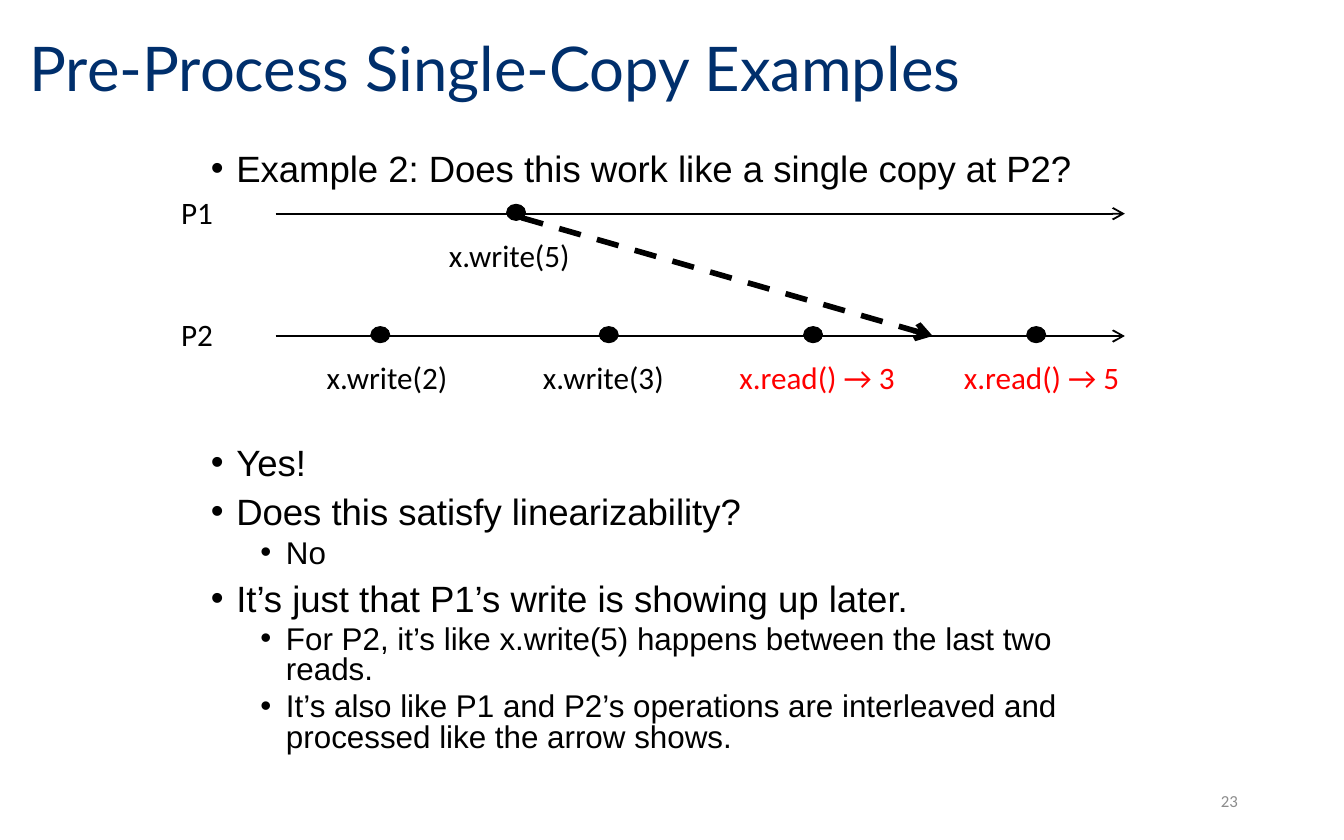
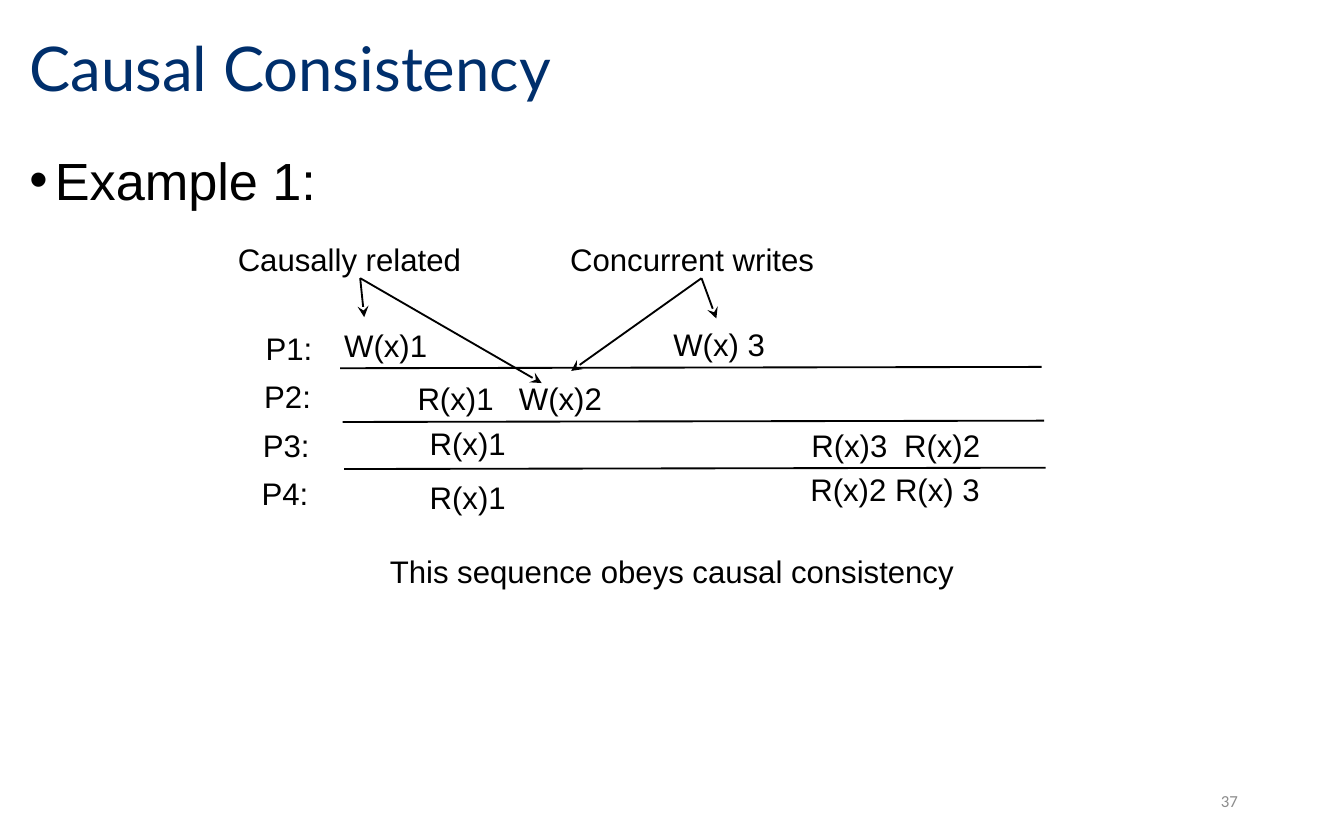
from lxml import etree
from pptx import Presentation
from pptx.dml.color import RGBColor
from pptx.enum.dml import MSO_LINE
from pptx.enum.shapes import MSO_CONNECTOR, MSO_SHAPE
from pptx.enum.text import MSO_ANCHOR, MSO_AUTO_SIZE, PP_ALIGN
from pptx.oxml.ns import qn
from pptx.util import Inches, Pt

WIDTH, HEIGHT = Inches(10), Inches(6.25)
COLUMNS, ROWS = 10, 6.25
TITLE_ONLY = 5
LEFT, CENTER, RIGHT = PP_ALIGN.LEFT, PP_ALIGN.CENTER, PP_ALIGN.RIGHT
TOP, MIDDLE = MSO_ANCHOR.TOP, MSO_ANCHOR.MIDDLE
NO_FIT, GROW = MSO_AUTO_SIZE.NONE, MSO_AUTO_SIZE.SHAPE_TO_FIT_TEXT
STRAIGHT, OVAL, DASH = MSO_CONNECTOR.STRAIGHT, MSO_SHAPE.OVAL, MSO_LINE.DASH

BLACK = RGBColor(0, 0, 0)
NAVY = RGBColor(0x00, 0x2F, 0x6C)
RED = RGBColor(0xFF, 0, 0)
GRAY = RGBColor(0x8C, 0x8C, 0x8C)
TITLE_FONT, BODY_FONT, LABEL_FONT = "Lato", "Arial", "Calibri"
LABEL_SIZE, LABEL_HEIGHT = 16.7, 0.38
DOT_WIDTH, DOT_HEIGHT = 0.14, 0.12


def column(count):
    return int(WIDTH * count / COLUMNS)


def row(count):
    return int(HEIGHT * count / ROWS)


def area(left, top, width, height):
    return column(left), row(top), column(width), row(height)


def write(para, text, font, size, color=BLACK):
    span = para.add_run()
    span.text = text
    span.font.name = font
    span.font.size = Pt(size)
    span.font.color.rgb = color


def add_box(page, place, anchor=TOP, fit=NO_FIT, wrap=True):
    box = page.shapes.add_textbox(*area(*place))
    frame = box.text_frame
    frame.word_wrap = wrap
    frame.auto_size = fit
    frame.vertical_anchor = anchor
    return frame


def add_page(deck, heading, number):
    page = deck.slides.add_slide(deck.slide_layouts[TITLE_ONLY])
    title = page.shapes.title
    title.left, title.top, title.width, title.height = area(0.12, 0.1, 8.52, 0.86)
    frame = title.text_frame
    frame.auto_size = NO_FIT
    frame.vertical_anchor = MIDDLE
    para = frame.paragraphs[0]
    para.alignment = LEFT
    para.line_spacing = 0.9
    write(para, heading, TITLE_FONT, 33, NAVY)

    para = add_box(page, (7.06, 5.79, 2.25, 0.33), MIDDLE).paragraphs[0]
    para.alignment = RIGHT
    write(para, str(number), LABEL_FONT, 9, GRAY)
    return page


def add_bullets(page, place, items, sizes, spacing):
    frame = add_box(page, place)
    for index, (level, text) in enumerate(items):
        para = frame.add_paragraph() if index else frame.paragraphs[0]
        para.level = level
        para.line_spacing = spacing
        para.space_before = Pt((7.5, 3.8)[level] if index else 0)
        properties = para._p.get_or_add_pPr()
        properties.set("marL", str(Inches((0.19, 0.56)[level])))
        properties.set("indent", str(-Inches(0.19)))
        etree.SubElement(properties, qn("a:buFont")).set("typeface", BODY_FONT)
        etree.SubElement(properties, qn("a:buChar")).set("char", "•")
        write(para, text, BODY_FONT, sizes[level])


def add_label(page, text, middle, top, width, font=BODY_FONT, color=BLACK,
              align=CENTER, wrap=False):
    place = (middle - width / 2, top, width, LABEL_HEIGHT)
    para = add_box(page, place, fit=GROW, wrap=wrap).paragraphs[0]
    para.alignment = align
    write(para, text, font, LABEL_SIZE, color)


def add_line(page, start, end, head=None, weight=1, dash=None):
    line = page.shapes.add_connector(
        STRAIGHT, column(start[0]), row(start[1]), column(end[0]), row(end[1]))
    line.line.color.rgb = BLACK
    line.line.width = Pt(weight)
    if dash:
        line.line.dash_style = dash
    properties = line.element.spPr
    if head:
        etree.SubElement(properties.find(qn("a:ln")), qn("a:tailEnd")).set("type", head)
    etree.SubElement(properties, qn("a:effectLst"))


def add_dot(page, middle, level):
    dot = page.shapes.add_shape(OVAL, *area(
        middle - DOT_WIDTH / 2, level - 0.07, DOT_WIDTH, DOT_HEIGHT))
    dot.shadow.inherit = False
    dot.fill.solid()
    dot.fill.fore_color.rgb = BLACK
    dot.line.color.rgb = BLACK
    dot.line.width = Pt(0.5)


def add_timeline(page, process, level, events):
    add_line(page, (2.05, level), (8.37, level), "arrow")
    add_label(page, process, 1.65, level - 0.2, 0.8, LABEL_FONT, align=LEFT, wrap=True)
    for operation, dot_middle, label_middle, color in events:
        add_dot(page, dot_middle, level)
        add_label(page, operation, label_middle, level + 0.12, 2.86,
                  LABEL_FONT, color, wrap=True)


def build_single_copy(deck):
    page = add_page(deck, "Pre-Process Single-Copy Examples", 23)
    sizes = (19.6, 16.8)
    add_bullets(page, (1.47, 1.1, 7, 0.4), [
        (0, "Example 2: Does this work like a single copy at P2?"),
    ], sizes, 0.8)
    add_bullets(page, (1.47, 3.29, 7, 2.7), [
        (0, "Yes!"),
        (0, "Does this satisfy linearizability?"),
        (1, "No"),
        (0, "It’s just that P1’s write is showing up later."),
        (1, "For P2, it’s like x.write(5) happens between the last two reads."),
        (1, "It’s also like P1 and P2’s operations are interleaved and "
            "processed like the arrow shows."),
    ], sizes, 0.8)
    add_timeline(page, "P1", 1.59, [("x.write(5)", 3.84, 3.79, BLACK)])
    add_timeline(page, "P2", 2.5, [
        ("x.write(2)", 2.83, 2.88, BLACK),
        ("x.write(3)", 4.53, 4.49, BLACK),
        ("x.read() → 3", 6.05, 6.08, RED),
        ("x.read() → 5", 7.71, 7.75, RED),
    ])
    add_line(page, (3.88, 1.62), (6.94, 2.5), "arrow", 3, DASH)


def build_causal(deck):
    page = add_page(deck, "Causal Consistency", 37)
    add_bullets(page, (0.12, 1.05, 9.77, 4.58), [(0, "Example 1:")], (28,), 1)

    for left, level in ((2.53, 2.74), (2.55, 3.14), (2.56, 3.49)):
        add_line(page, (left, level), (left + 5.22, level - 0.01))
    for index in range(4):
        add_label(page, f"P{index + 1}:", 2.15 - 0.01 * index, 2.4 + 0.36 * index, 0.55)

    for text, middle, top, width in (
        ("W(x)1", 2.87, 2.38, 0.82),
        ("W(x) 3", 5.35, 2.37, 0.89),
        ("R(x)1", 3.39, 2.77, 0.77),
        ("W(x)2", 4.17, 2.77, 0.82),
        ("R(x)1", 3.48, 3.11, 0.77),
        ("R(x)1", 3.48, 3.51, 0.77),
        ("R(x)3", 6.32, 3.12, 0.77),
        ("R(x)2", 7.01, 3.12, 0.77),
        ("R(x)2 R(x) 3", 6.66, 3.45, 1.47),
        ("This sequence obeys causal consistency", 5, 4.06, 4.44),
        ("Causally related", 2.6, 1.74, 1.88),
        ("Concurrent writes", 5.15, 1.74, 2.03),
    ):
        add_label(page, text, middle, top, width)

    for start, targets in (
        ((2.68, 2.07), ((2.71, 2.36), (4.03, 2.85))),
        ((5.22, 2.07), ((5.33, 2.37), (4.25, 2.76))),
    ):
        for target in targets:
            add_line(page, start, target, "stealth")


def main():
    deck = Presentation()
    deck.slide_width, deck.slide_height = WIDTH, HEIGHT
    build_single_copy(deck)
    build_causal(deck)
    deck.save("out.pptx")


if __name__ == "__main__":
    main()
